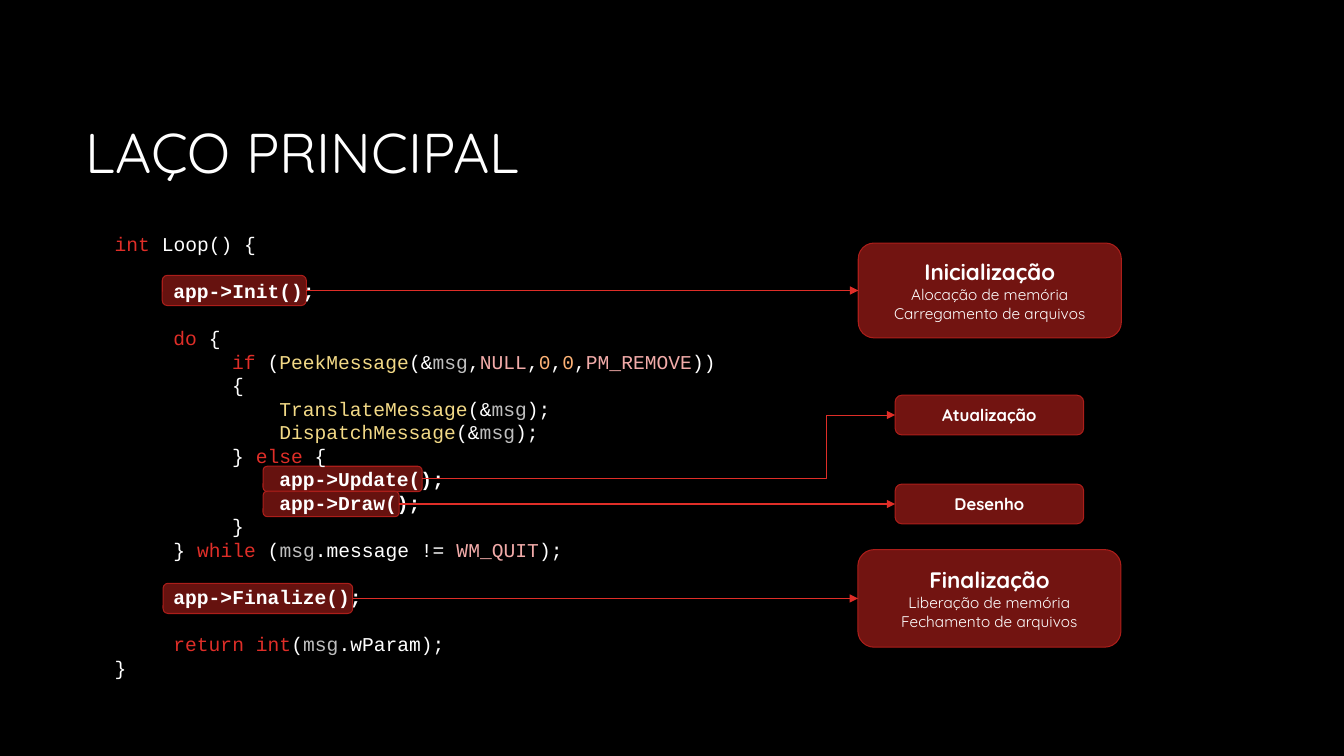
from pptx import Presentation
from pptx.dml.color import RGBColor
from pptx.enum.shapes import MSO_CONNECTOR as Link, MSO_SHAPE as Preset
from pptx.enum.text import MSO_ANCHOR as Anchor, PP_ALIGN as Align
from pptx.oxml.ns import qn
from pptx.util import Cm, Pt
from lxml.etree import SubElement

WHITE, RED, DARK_RED, EDGE = "FFFFFF", "DF2E28", "721411", "AC1E1A"
CODE_FONT, TEXT_FONT = "Courier New", "Quicksand"
CODE_SIZE, LINE_PITCH = 14, 16.8
CHAR_WIDTH = CODE_SIZE * 0.6 * 2.54 / 72  # centimetres

TITLE = "LAÇO PRINCIPAL"
TOKEN_COLORS = {"plain": WHITE, "call": WHITE, "key": RED, "func": "F2D986",
                "var": "BFBFBF", "const": "F2ABA9", "num": "FEB376"}
MSG = ("msg", "var")

# (indent in characters, blank line above, tokens)
CODE = [
    (0, False, [("int", "key"), (" Loop() {", "plain")]),
    (5, True, [("app->Init();", "call")]),
    (5, True, [("do", "key"), (" {", "plain")]),
    (10, False, [("if", "key"), (" (", "plain"), ("PeekMessage", "func"), ("(&", "plain"), MSG,
                 (",", "plain"), ("NULL", "const"), (",", "plain"), ("0", "num"),
                 (",", "plain"), ("0", "num"), (",", "plain"), ("PM_REMOVE", "const"),
                 ("))", "plain")]),
    (10, False, [("{", "plain")]),
    (14, False, [("TranslateMessage", "func"), ("(&", "plain"), MSG, (");", "plain")]),
    (14, False, [("DispatchMessage", "func"), ("(&", "plain"), MSG, (");", "plain")]),
    (10, False, [("} ", "plain"), ("else", "key"), (" {", "plain")]),
    (14, False, [("app->Update();", "call")]),
    (14, False, [("app->Draw();", "call")]),
    (10, False, [("}", "plain")]),
    (5, False, [("} ", "plain"), ("while", "key"), (" (", "plain"), MSG,
                (".message != ", "plain"), ("WM_QUIT", "const"), (");", "plain")]),
    (5, True, [("app->Finalize();", "call")]),
    (5, True, [("return int", "key"), ("(", "plain"), MSG, (".wParam);", "plain")]),
    (0, False, [("}", "plain")]),
]

# highlight and stage: (left, middle, width, height) in cm
PHASES = [
    {"highlight": (4.09, 7.32, 3.63, 0.76), "stage": (21.63, 7.32, 6.63, 2.39),
     "name": "Inicialização", "details": ["Alocação de memória", "Carregamento de arquivos"]},
    {"highlight": (6.63, 12.07, 4.01, 0.64), "stage": (22.56, 10.46, 4.75, 1),
     "name": "Atualização", "details": []},
    {"highlight": (6.63, 12.7, 3.43, 0.64), "stage": (22.56, 12.7, 4.75, 1),
     "name": "Desenho", "details": []},
    {"highlight": (4.11, 15.08, 4.78, 0.76), "stage": (21.62, 15.08, 6.63, 2.46),
     "name": "Finalização", "details": ["Liberação de memória", "Fechamento de arquivos"]},
]
ELBOW_TURN = 0.855


def rgb(hex_color):
    return RGBColor.from_string(hex_color)


def write(paragraph, text, font=TEXT_FONT, size=12, color=WHITE, bold=False):
    run = paragraph.add_run()
    run.text = text
    run.font.name = font
    run.font.size = Pt(size)
    run.font.bold = bold
    run.font.color.rgb = rgb(color)


def next_paragraph(frame, index):
    return frame.add_paragraph() if index else frame.paragraphs[0]


def add_panel(slide, place, alpha=None):
    """Add a rounded red panel centred vertically on the given middle."""
    left, middle, width, height = place
    panel = slide.shapes.add_shape(Preset.ROUNDED_RECTANGLE, Cm(left), Cm(middle - height / 2),
                                   Cm(width), Cm(height))
    panel.shadow.inherit = False
    panel.fill.solid()
    panel.fill.fore_color.rgb = rgb(DARK_RED)
    panel.line.color.rgb = rgb(EDGE)
    panel.line.width = Pt(0.75)
    if alpha:
        color = panel.fill._xPr.find(qn("a:solidFill"))[0]
        SubElement(color, qn("a:alpha"), val=str(alpha * 1000))
    return panel


def add_title(slide):
    title = slide.shapes.title
    title.left, title.top, title.width, title.height = Cm(1.9), Cm(2.13), Cm(30.05), Cm(3.58)
    title.text_frame.vertical_anchor = Anchor.MIDDLE
    heading = title.text_frame.paragraphs[0]
    heading.alignment = Align.LEFT
    heading.line_spacing = 0.9
    write(heading, TITLE, size=40)


def add_code(slide):
    frame = slide.shapes.add_textbox(Cm(2.64), Cm(5.72), Cm(28.6), Cm(11.63)).text_frame
    frame.word_wrap = True
    for index, (indent, gap, tokens) in enumerate(CODE):
        line = next_paragraph(frame, index)
        line.line_spacing = Pt(LINE_PITCH)
        line.space_before = Pt(LINE_PITCH if gap else 0)
        line._p.get_or_add_pPr().set("marL", str(Cm(indent * CHAR_WIDTH)))
        for text, kind in tokens:
            write(line, text, font=CODE_FONT, size=CODE_SIZE,
                  color=TOKEN_COLORS[kind], bold=kind == "call")


def add_stage(slide, phase):
    stage = add_panel(slide, phase["stage"])
    frame = stage.text_frame
    frame.word_wrap = True
    frame.vertical_anchor = Anchor.MIDDLE
    for index, text in enumerate([phase["name"], *phase["details"]]):
        line = next_paragraph(frame, index)
        line.alignment = Align.CENTER
        if index:
            write(line, text, size=11)
        else:
            write(line, text, size=16 if phase["details"] else 12, bold=True)
    return stage


def add_arrow(slide, highlight, stage, level):
    kind = Link.STRAIGHT if level else Link.ELBOW
    arrow = slide.shapes.add_connector(kind, 0, 0, 0, 0)
    arrow.begin_connect(highlight, 3)
    arrow.end_connect(stage, 1)
    arrow.line.color.rgb = rgb(RED)
    arrow.line.width = Pt(0.75)
    SubElement(arrow.line._get_or_add_ln(), qn("a:tailEnd"), type="triangle")
    properties = arrow._element.spPr
    SubElement(properties, qn("a:effectLst"))
    if not level:
        guides = properties.find(qn("a:prstGeom")).get_or_add_avLst()
        SubElement(guides, qn("a:gd"), name="adj1", fmla=f"val {round(ELBOW_TURN * 100000)}")


def main():
    deck = Presentation()
    deck.slide_width, deck.slide_height = Cm(33.87), Cm(19.05)
    slide = deck.slides.add_slide(deck.slide_layouts[5])
    slide.background.fill.solid()
    slide.background.fill.fore_color.rgb = rgb("000000")

    add_title(slide)
    highlights = [add_panel(slide, phase["highlight"], alpha=90) for phase in PHASES]
    add_code(slide)
    for phase, highlight in zip(PHASES, highlights):
        stage = add_stage(slide, phase)
        add_arrow(slide, highlight, stage, level=phase["highlight"][1] == phase["stage"][1])
    deck.save("out.pptx")


if __name__ == "__main__":
    main()
